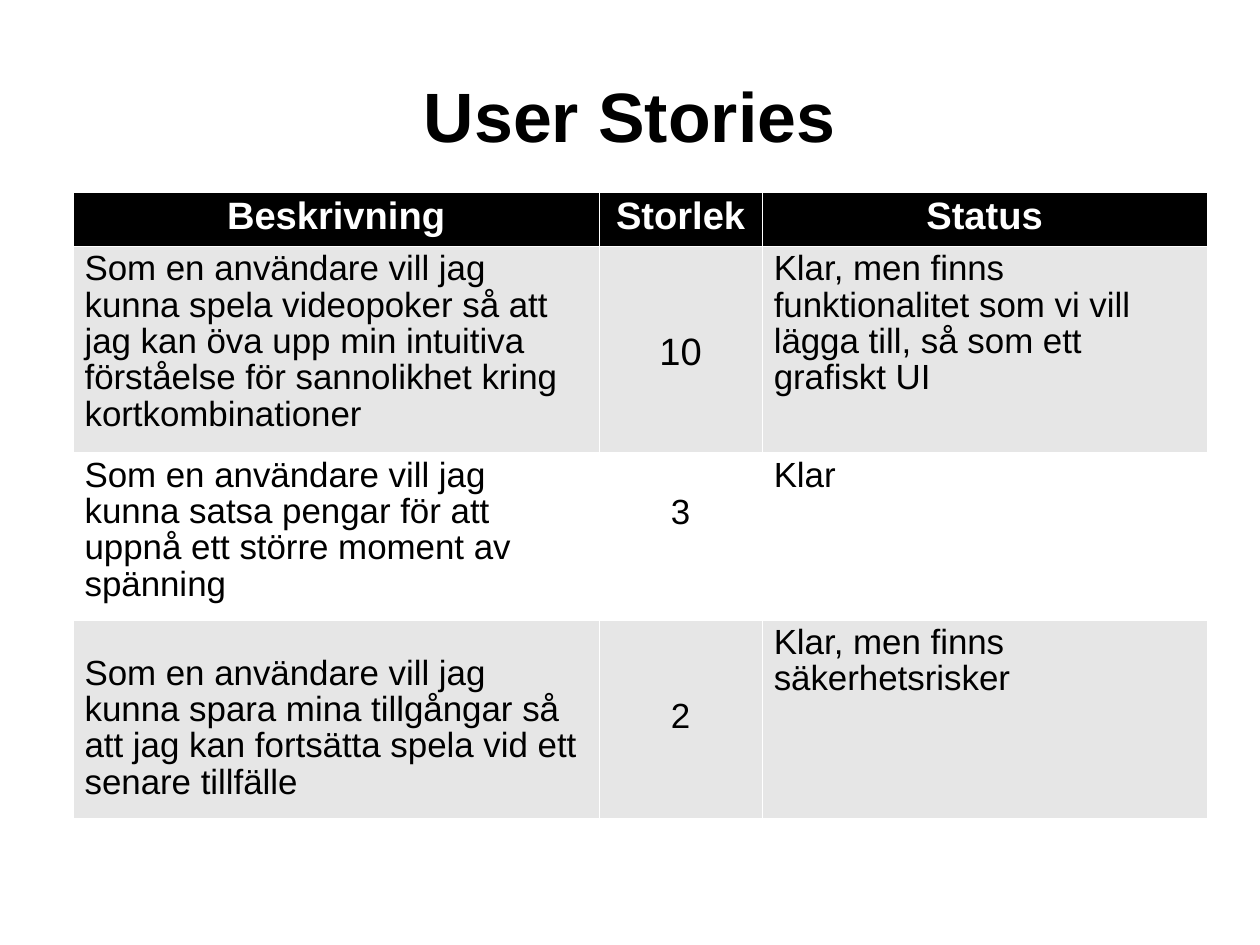
import pptx
import pptx.dml.color
import pptx.enum.text
import pptx.oxml
import pptx.oxml.ns
import pptx.util

Inches = pptx.util.Inches
Pt = pptx.util.Pt
RGBColor = pptx.dml.color.RGBColor
PP_ALIGN = pptx.enum.text.PP_ALIGN
MSO_ANCHOR = pptx.enum.text.MSO_ANCHOR

BLACK = RGBColor(0x00, 0x00, 0x00)
WHITE = RGBColor(0xFF, 0xFF, 0xFF)
BAND_GREY = RGBColor(0xE6, 0xE6, 0xE6)

FONT = "Arial"
LINE_SPACING = 0.93
POINTS_PER_INCH = 72
BORDER_WIDTH = Pt(0.06)
COLUMN_WIDTHS = (4.6, 1.43, 3.89)
ROW_HEIGHTS = (0.47, 1.71, 1.39, 1.67)
HEADINGS = ("Beskrivning", "Storlek", "Status")
STORIES = (
    ("Som en användare vill jag kunna spela videopoker så att jag kan öva upp "
     "min intuitiva förståelse för sannolikhet kring kortkombinationer",
     "10",
     "Klar, men finns funktionalitet som vi vill lägga till, så som ett grafiskt UI"),
    ("Som en användare vill jag kunna satsa pengar för att uppnå ett större "
     "moment av spänning",
     "3",
     "Klar"),
    ("Som en användare vill jag kunna spara mina tillgångar så att jag kan "
     "fortsätta spela vid ett senare tillfälle",
     "2",
     "Klar, men finns säkerhetsrisker"),
)
STORY_TOPS = ((0.05, 0.77, 0.05), (0.05, 0.38, 0.05), (0.32, 0.7, 0.05))
STORY_SIZES = ((22, 24, 22), (22, 22, 22), (22, 22, 22))
STORY_ALIGNMENTS = (PP_ALIGN.LEFT, PP_ALIGN.CENTER, PP_ALIGN.LEFT)
STORY_FILLS = (BAND_GREY, WHITE, BAND_GREY)


def write_text(frame, text, size, color, bold, alignment):
    """Write one formatted run into the first paragraph of a text frame."""
    frame.word_wrap = True
    paragraph = frame.paragraphs[0]
    paragraph.alignment = alignment
    paragraph.line_spacing = LINE_SPACING
    run = paragraph.add_run()
    run.text = text
    run.font.name = FONT
    run.font.size = Pt(size)
    run.font.bold = bold
    run.font.color.rgb = color


def add_title(slide, text):
    """Add the centred slide title."""
    title = slide.shapes.add_textbox(Inches(0.55), Inches(0.33), Inches(9.92), Inches(1.38))
    frame = title.text_frame
    frame.margin_left = frame.margin_right = frame.margin_bottom = 0
    frame.margin_top = Inches(0.04)
    frame.vertical_anchor = MSO_ANCHOR.MIDDLE
    write_text(frame, text, 44, BLACK, True, PP_ALIGN.CENTER)


def add_borders(cell):
    """Draw a hairline white border on all four sides of a cell."""
    properties = cell._tc.get_or_add_tcPr()
    for side in ("lnL", "lnR", "lnT", "lnB"):
        properties.append(pptx.oxml.parse_xml(
            f'<a:{side} {pptx.oxml.ns.nsdecls("a")} w="{BORDER_WIDTH}">'
            f'<a:solidFill><a:srgbClr val="{WHITE}"/></a:solidFill></a:{side}>'))


def fill_cell(cell, text, size, color, bold, alignment, fill, top=0.05):
    """Set the borders, fill, margins and text of a table cell."""
    add_borders(cell)
    cell.fill.solid()
    cell.fill.fore_color.rgb = fill
    cell.margin_left = cell.margin_right = Inches(0.1)
    cell.margin_top = Inches(top)
    cell.margin_bottom = Inches(0.05)
    cell.vertical_anchor = MSO_ANCHOR.TOP
    write_text(cell.text_frame, text, size, color, bold, alignment)


def add_story_table(slide):
    """Add the table of user stories with size and status."""
    story_frame = slide.shapes.add_table(
        len(ROW_HEIGHTS), len(COLUMN_WIDTHS), Inches(0.64), Inches(1.68),
        Inches(sum(COLUMN_WIDTHS)), Inches(sum(ROW_HEIGHTS)))
    table = story_frame.table
    table.horz_banding = False
    for column, width in zip(table.columns, COLUMN_WIDTHS):
        column.width = Inches(width)
    for row, height in zip(table.rows, ROW_HEIGHTS):
        row.height = Inches(height)
    story_frame.height = Inches(4.95)
    for column, heading in enumerate(HEADINGS):
        fill_cell(table.cell(0, column), heading, 24, WHITE, True, PP_ALIGN.CENTER, BLACK)
    for row, (story, sizes, tops, fill) in enumerate(
            zip(STORIES, STORY_SIZES, STORY_TOPS, STORY_FILLS), start=1):
        for column, (text, size, alignment, top) in enumerate(
                zip(story, sizes, STORY_ALIGNMENTS, tops)):
            fill_cell(table.cell(row, column), text, size, BLACK, False, alignment, fill, top)


def main():
    """Build the user stories slide and save it."""
    presentation = pptx.Presentation()
    presentation.slide_width = Inches(793.75 / POINTS_PER_INCH)
    presentation.slide_height = Inches(595.25 / POINTS_PER_INCH)
    slide = presentation.slides.add_slide(presentation.slide_layouts[6])
    add_title(slide, "User Stories")
    add_story_table(slide)
    presentation.save("out.pptx")


if __name__ == "__main__":
    main()
